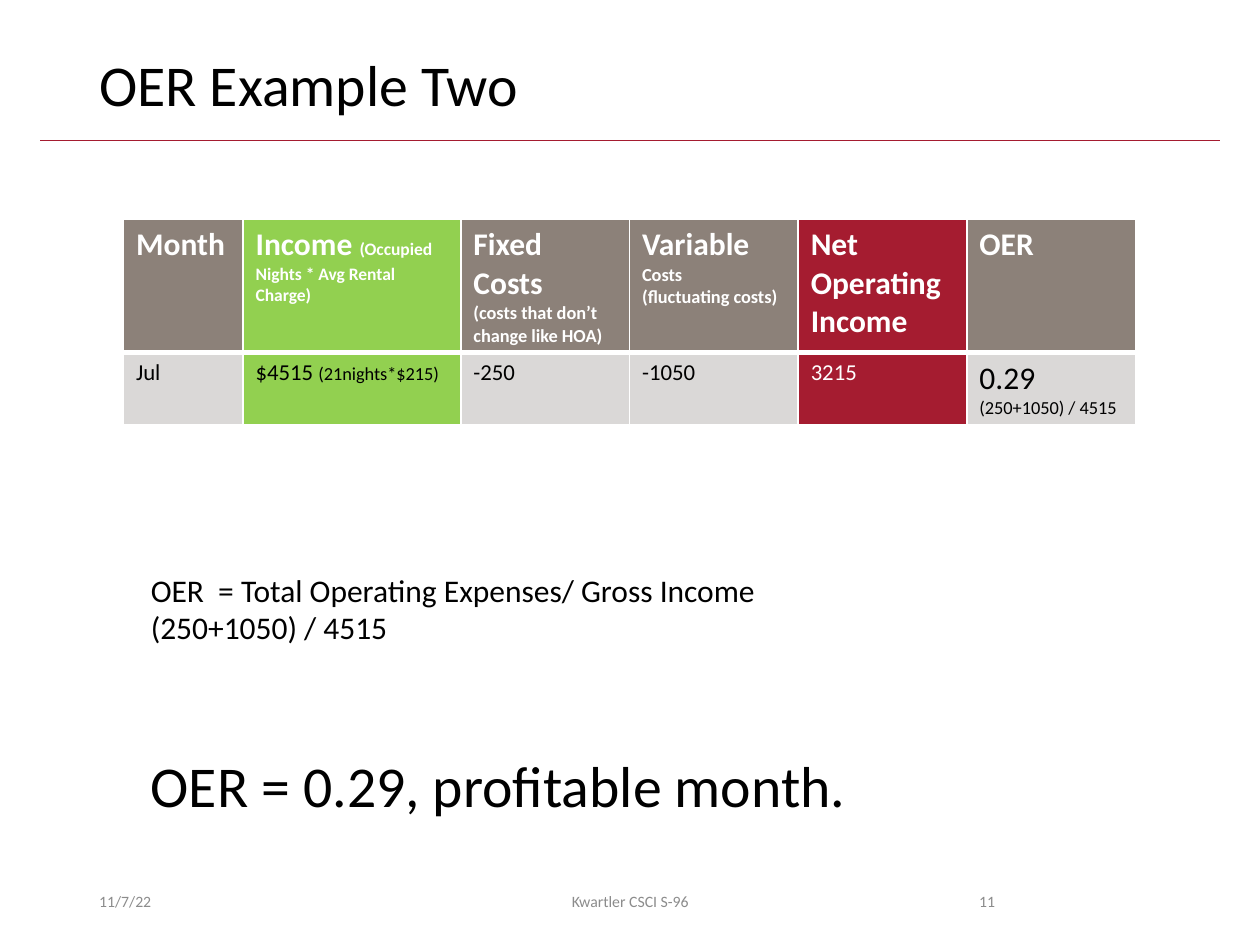
"""Build the slide with the second operating expense ratio example."""
from lxml import etree
from pptx import Presentation, util as u
from pptx.dml.color import RGBColor
from pptx.enum import shapes, text
from pptx.oxml.ns import qn

COLOURS = {
    "black": "000000", "white": "FFFFFF", "footer": "8C8C8C", "rule": "A51C30",
    "taupe": "8C8179", "green": "92D050", "crimson": "A51C30", "pale": "DAD8D7",
}
FONT = "Calibri"
COLUMNS = [2.41, 4.39, 3.4, 3.4, 3.4, 3.4]
ROWS = [2.69, 1.45]
HEADERS = [
    ("taupe", [[("Month", 18)]]),
    ("green", [[("Income ", 18), ("(Occupied Nights * Avg Rental Charge)", 10)]]),
    ("taupe", [[("Fixed Costs", 18)], [("(costs that don’t change like HOA)", 10.5)]]),
    ("taupe", [[("Variable ", 18), ("Costs", 10.5)], [("(fluctuating costs)", 10.5)]]),
    ("crimson", [[("Net Operating Income", 18)]]),
    ("taupe", [[("OER", 18)]]),
]
JULY = [
    ("pale", [[("Jul", 13)]]),
    ("green", [[("$4515 ", 13), ("(21nights*$215)", 10.5)]]),
    ("pale", [[("-250", 13)]]),
    ("pale", [[("-1050", 13)]]),
    ("crimson", [[("3215", 13)]]),
    ("pale", [[("0.29", 18)], [("(250+1050) / 4515", 10.5)]]),
]


def colour(name):
    return RGBColor.from_string(COLOURS[name])


def style(font, size, name, bold=False):
    font.name, font.size, font.bold = FONT, u.Pt(size), bold
    font.color.rgb = colour(name)


def add_text(page, place, lines, size, name="black", align=text.PP_ALIGN.LEFT,
             anchor=text.MSO_ANCHOR.TOP, spacing=None, wrap=True):
    box = page.shapes.add_textbox(*map(u.Cm, place))
    frame = box.text_frame
    frame.word_wrap, frame.vertical_anchor = wrap, anchor
    frame.text = "\n".join(lines)
    for para in frame.paragraphs:
        para.alignment, para.line_spacing = align, spacing
        style(para.font, size, name)


def add_rule(page):
    rule = page.shapes.add_connector(
        shapes.MSO_CONNECTOR.STRAIGHT, u.Cm(0.81), u.Cm(2.84), u.Cm(24.59), u.Cm(2.84))
    rule.line.color.rgb, rule.line.width = colour("rule"), u.Pt(0.5)
    etree.SubElement(rule._element.spPr, qn("a:effectLst"))


def add_borders(cell, bottom):
    properties = cell._tc.get_or_add_tcPr()
    for side, width in (("L", 1), ("R", 1), ("T", 1), ("B", bottom)):
        line = etree.SubElement(properties, qn(f"a:ln{side}"), w=str(u.Pt(width)))
        fill = etree.SubElement(line, qn("a:solidFill"))
        etree.SubElement(fill, qn("a:srgbClr"), val=COLOURS["white"])


def fill_cell(cell, fill, lines, header):
    add_borders(cell, 3 if header else 1)
    cell.fill.solid()
    cell.fill.fore_color.rgb = colour(fill)
    font_colour = "white" if header or fill == "crimson" else "black"
    frame = cell.text_frame
    for index, runs in enumerate(lines):
        para = frame.add_paragraph() if index else frame.paragraphs[0]
        for words, size in runs:
            span = para.add_run()
            span.text = words
            style(span.font, size, font_colour, header)


def add_month_table(page):
    table = page.shapes.add_table(
        len(ROWS), len(COLUMNS), u.Cm(2.49), u.Cm(4.42),
        u.Cm(sum(COLUMNS)), u.Cm(sum(ROWS))).table
    for column, width in zip(table.columns, COLUMNS):
        column.width = u.Cm(width)
    for row, height, entries in zip(table.rows, ROWS, (HEADERS, JULY)):
        row.height = u.Cm(height)
        for cell, (fill, lines) in zip(row.cells, entries):
            fill_cell(cell, fill, lines, entries is HEADERS)


def add_footer(page):
    for left, width, words, align in (
            (1.75, 5.72, "11/7/22", text.PP_ALIGN.LEFT),
            (8.41, 8.59, "Kwartler CSCI S-96", text.PP_ALIGN.CENTER),
            (17.93, 2.38, "11", text.PP_ALIGN.RIGHT)):
        add_text(page, (left, 17.65, width, 1.02), [words], 9, "footer", align,
                 text.MSO_ANCHOR.MIDDLE)


def main():
    deck = Presentation()
    deck.slide_width, deck.slide_height = u.Cm(25.4), u.Cm(19.05)
    page = deck.slides.add_slide(deck.slide_layouts[6])
    add_rule(page)
    add_text(page, (1.75, 1.02, 21.9, 1.65), ["OER Example Two"], 33, spacing=0.9)
    add_footer(page)
    add_month_table(page)
    add_text(page, (2.79, 15.14, 21.9, 1.65), ["OER = 0.29, profitable month."], 33,
             spacing=0.9)
    add_text(page, (2.79, 11.38, 12.83, 1.8),
             ["OER  = Total Operating Expenses/ Gross Income", "(250+1050) / 4515"],
             18, wrap=False)
    deck.save("out.pptx")


if __name__ == "__main__":
    main()
